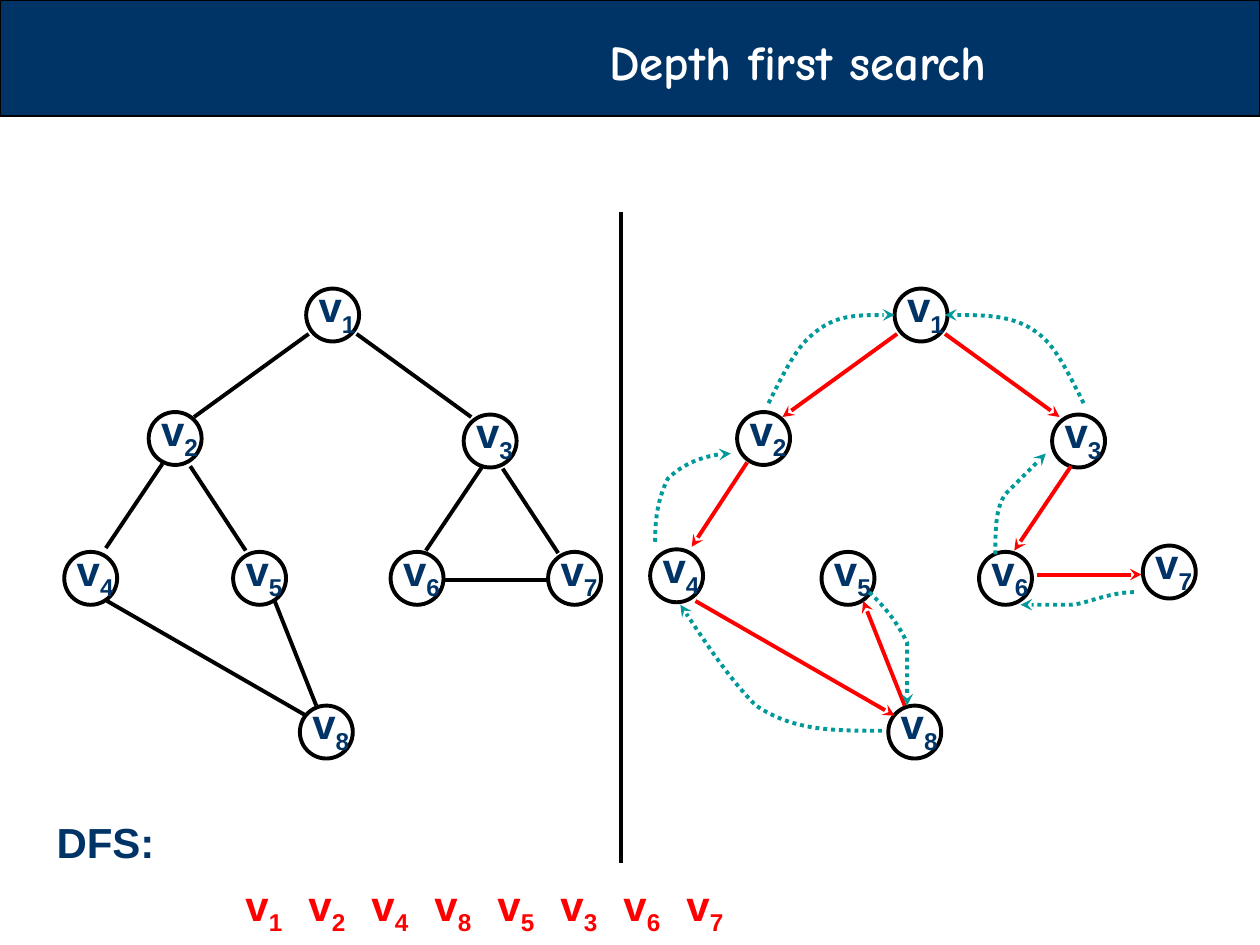
"""Draw the depth first search slide: a graph, its search tree and the visit order."""
from lxml.etree import SubElement
from pptx import Presentation
from pptx.dml.color import RGBColor
from pptx.enum.dml import MSO_LINE
from pptx.enum.shapes import MSO_CONNECTOR, MSO_SHAPE
from pptx.enum.text import MSO_ANCHOR, MSO_AUTO_SIZE, PP_ALIGN
from pptx.oxml.ns import qn
from pptx.util import Inches, Pt

theme = {
    "navy": RGBColor(0x00, 0x33, 0x66),
    "black": RGBColor(0, 0, 0),
    "red": RGBColor(0xFF, 0, 0),
    "teal": RGBColor(0x00, 0x99, 0x99),
    "white": RGBColor(0xFF, 0xFF, 0xFF),
    "label": {"name": "Arial", "size": Pt(24), "bold": True},
    "title": {"name": "Comic Neue", "size": Pt(28), "bold": True},
    "thin": Pt(0.75),
    "thick": Pt(2.25),
}

deck = Presentation()
deck.slide_width, deck.slide_height = Inches(10), Inches(7.5)
slide = deck.slides.add_slide(deck.slide_layouts[6])
shapes = slide.shapes
cell = deck.slide_width / 100


def stroke(shape, color, width="thick", arrow=False, dash=None):
    line = shape.line
    line.color.rgb, line.width = theme[color], theme[width]
    if dash:
        line.dash_style = dash
    if arrow:
        SubElement(line._get_or_add_ln(), qn("a:tailEnd"), type="stealth")
    SubElement(shape._element.spPr, qn("a:effectLst"))


def write(place, text, color, sub="", font="label", frame=None, para=None):
    box = shapes.add_textbox(*(round(v * cell) for v in place)).text_frame
    look = frame or {"word_wrap": True, "auto_size": MSO_AUTO_SIZE.SHAPE_TO_FIT_TEXT}
    for key, value in look.items():
        setattr(box, key, value)
    line = box.paragraphs[0]
    for key, value in (para or {"space_before": Pt(15)}).items():
        setattr(line, key, value)
    for part in filter(None, (text, sub)):
        run = line.add_run()
        run.text = part
        for key, value in theme[font].items():
            setattr(run.font, key, value)
        run.font.color.rgb = theme[color]
    if sub:
        run._r.get_or_add_rPr().set("baseline", "-25000")


bar = shapes.add_shape(MSO_SHAPE.RECTANGLE, 0, 0, deck.slide_width, round(9.2 * cell))
bar.fill.solid()
bar.fill.fore_color.rgb = theme["navy"]
stroke(bar, "black", "thin")
write((4.3, 2.2, 75, 6.2), "Depth first search", "white", font="title",
      frame={"word_wrap": True, "vertical_anchor": MSO_ANCHOR.MIDDLE},
      para={"alignment": PP_ALIGN.RIGHT, "line_spacing": 0.8})

shift, size = 46.7, 4.2
graph = {1: (24.3, 22.9), 2: (11.8, 32.7), 3: (36.8, 32.9), 4: (5.1, 43.8),
         5: (18.5, 43.8), 6: (31, 43.8), 7: (43.5, 43.8), 8: (23.8, 56)}
tree = {key: (x + shift, y) for key, (x, y) in graph.items()}
tree.update({4: (51.6, 43.6), 7: (90.7, 43.3)})

for nodes in (graph, tree):
    for key, (x, y) in nodes.items():
        ring = shapes.add_shape(MSO_SHAPE.OVAL, *(round(v * cell) for v in (x, y, size, size)))
        ring.fill.background()
        stroke(ring, "black")
        write((x, y - 1.1, 7.5, 5.6), "v", "navy", str(key))

shared = [(24.5, 26.5, 15.4, 33.1), (28.3, 26.5, 37.4, 33.1), (38.3, 37, 33.8, 43.7),
          (8.5, 47.7, 24.3, 56.8), (25.1, 56, 21.8, 47.7)]
plain = [(12.9, 36.8, 8.4, 43.5), (15.1, 37, 19.5, 43.7),
         (39.9, 37.2, 44.3, 43.9), (35.1, 46, 43.5, 46)]
visits = [(a + shift, b, c + shift, d) for a, b, c, d in shared]
visits += [(59.3, 36.7, 54.9, 43.4), (82.3, 45.6, 90.6, 45.6)]
split = [(49.3, 16.8, 49.3, 68.5)]

for group, color, arrow in ((shared + plain + split, "black", False), (visits, "red", True)):
    for ends in group:
        edge = shapes.add_connector(MSO_CONNECTOR.STRAIGHT, *(round(v * cell) for v in ends))
        stroke(edge, color, arrow=arrow)

returns = [
    [(68.6, 46.7), (69.9, 48), (71.3, 49.3), (71.9, 50.8), (72.4, 52.4), (72.2, 54.1), (71.9, 55.8)],
    [(70.1, 58.5), (66.4, 58.1), (62.8, 57.7), (60.1, 56), (57.5, 54.3), (55.9, 51.4), (54.3, 48.5)],
    [(61, 32.4), (61.9, 30.1), (62.7, 27.8), (64.4, 26.6), (66, 25.3), (68.5, 25.1), (71, 24.9)],
    [(89.9, 46.7), (88.2, 47.4), (86.5, 48.2), (84.9, 48.3), (83.4, 48.5), (82.1, 48), (80.8, 47.5)],
    [(79.1, 44), (79.2, 42.2), (79.3, 40.4), (80, 39), (80.7, 37.6), (82.7, 36.2), (83.3, 35.6)],
    [(86, 32.4), (85.3, 30.1), (84.5, 27.8), (82.7, 26.6), (80.9, 25.3), (78.1, 25.1), (75.2, 24.9)],
    [(52.5, 43.4), (52.4, 41.5), (52.4, 39.7), (53.3, 38.4), (54.3, 37.2), (56.3, 36.5), (58.3, 35.9)],
]
for first, *rest in returns:
    pen = shapes.build_freeform(*first, scale=cell)
    pen.add_line_segments(rest, close=False)
    arc = pen.convert_to_shape()
    track = arc._element.find(".//" + qn("a:path"))
    steps = track.findall(qn("a:lnTo"))
    for start in range(0, len(steps), 3):
        bend = SubElement(track, qn("a:cubicBezTo"))
        for step in steps[start:start + 3]:
            bend.append(step[0])
            track.remove(step)
    arc.fill.background()
    stroke(arc, "teal", arrow=True, dash=MSO_LINE.ROUND_DOT)

write((3.5, 64.3, 29.9, 5), "DFS:", "navy")
for spot, key in enumerate("12485367"):
    write((18.5 + 5 * spot, 69.3, 9, 5.6), "v", "red", key)

deck.save("out.pptx")
